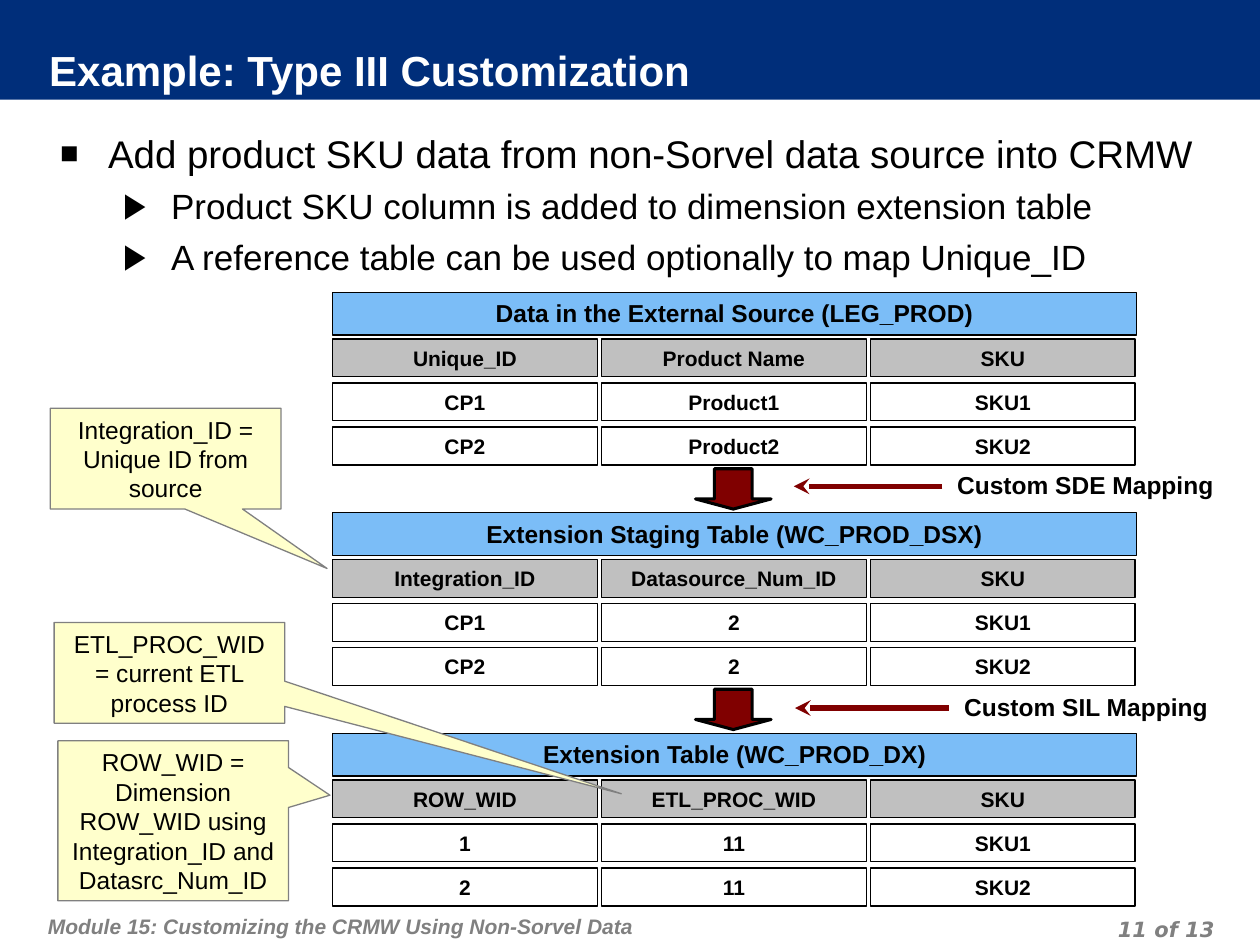
from dataclasses import dataclass

from lxml import etree
from pptx import Presentation
from pptx.dml.color import RGBColor
from pptx.enum.shapes import MSO_CONNECTOR, MSO_SHAPE
from pptx.enum.text import MSO_ANCHOR, MSO_AUTO_SIZE, PP_ALIGN
from pptx.oxml.ns import qn
from pptx.util import Inches, Pt

RECT, CALLOUT = MSO_SHAPE.RECTANGLE, MSO_SHAPE.RECTANGULAR_CALLOUT
DOWN_ARROW = MSO_SHAPE.DOWN_ARROW
LEFT, CENTER, RIGHT = PP_ALIGN.LEFT, PP_ALIGN.CENTER, PP_ALIGN.RIGHT
TOP, MIDDLE = MSO_ANCHOR.TOP, MSO_ANCHOR.MIDDLE

NAVY = RGBColor(0x00, 0x2E, 0x7A)
WHITE = RGBColor(0xFF, 0xFF, 0xFF)
BLACK = RGBColor(0, 0, 0)
GRAY = RGBColor(0x80, 0x80, 0x80)
SILVER = RGBColor(0xC0, 0xC0, 0xC0)
SKY = RGBColor(0x7B, 0xBD, 0xF7)
CREAM = RGBColor(0xFF, 0xFF, 0xCC)
MAROON = RGBColor(0x80, 0, 0)

TABLE_LEFT, TABLE_TOP, TABLE_PITCH = 2.64, 2.32, 1.75
COL_PITCH, ROW_PITCH, FIRST_ROW = 2.135, 0.35, 0.37


@dataclass
class DataTable:
    title: str
    rows: list[tuple[str, str, str]]


@dataclass
class Callout:
    text: str
    box: tuple[float, float, float, float]
    tip: tuple[float, float]


@dataclass
class Mapping:
    label: str
    label_box: tuple[float, float, float, float]
    block_top: float
    start: float
    end: float
    y: float


@dataclass
class Bullet:
    text: str
    size: float
    margin: float
    char: str
    char_pct: int
    before: float


TABLES = [
    DataTable("Data in the External Source (LEG_PROD)",
              [("Unique_ID", "Product Name", "SKU"),
               ("CP1", "Product1", "SKU1"), ("CP2", "Product2", "SKU2")]),
    DataTable("Extension Staging Table (WC_PROD_DSX)",
              [("Integration_ID", "Datasource_Num_ID", "SKU"),
               ("CP1", "2", "SKU1"), ("CP2", "2", "SKU2")]),
    DataTable("Extension Table (WC_PROD_DX)",
              [("ROW_WID", "ETL_PROC_WID", "SKU"),
               ("1", "11", "SKU1"), ("2", "11", "SKU2")]),
]
CALLOUTS = [
    Callout("Integration_ID = Unique ID from source", (0.4, 3.24, 1.83, 0.8), (0.7, 1.09)),
    Callout("ROW_WID = Dimension ROW_WID using Integration_ID and Datasrc_Num_ID",
            (0.46, 5.88, 1.83, 1.27), (0.68, -0.16)),
    Callout("ETL_PROC_WID = current ETL process ID", (0.43, 4.94, 1.83, 0.8), (1.96, 1.2)),
]
MAPPINGS = [
    Mapping("Custom SDE Mapping", (7.5, 3.68, 2.23, 0.34), 3.72, 7.48, 6.3, 3.86),
    Mapping("Custom SIL Mapping", (7.55, 5.44, 2.14, 0.34), 5.47, 7.53, 6.31, 5.62),
]
BULLETS = [
    Bullet("Add product SKU data from non-Sorvel data source into CRMW", 22, 0.38, "■", 80, 0),
    Bullet("Product SKU column is added to dimension extension table", 20, 0.88, "▶", 100, 5),
    Bullet("A reference table can be used optionally to map Unique_ID", 20, 0.88, "▶", 100, 5),
]


def set_frame(tf, insets=(0.1, 0.05, 0.1, 0.05), anchor=TOP, wrap=True) -> None:
    tf.auto_size = MSO_AUTO_SIZE.NONE
    tf.word_wrap = wrap
    tf.vertical_anchor = anchor
    tf.margin_left, tf.margin_top, tf.margin_right, tf.margin_bottom = map(Inches, insets)


def add_run(p, text: str, size: float, color=BLACK, bold=False, italic=False, font="Arial") -> None:
    r = p.add_run()
    r.text = text
    r.font.name, r.font.size = font, Pt(size)
    r.font.bold, r.font.italic = bold, italic
    r.font.color.rgb = color


def add_shape(s, kind, box, fill=None, line=None, width=0.75):
    sp = s.shapes.add_shape(kind, *map(Inches, box))
    sp.shadow.inherit = False
    if fill is None:
        sp.fill.background()
    else:
        sp.fill.solid()
        sp.fill.fore_color.rgb = fill
    if line is None:
        sp.line.fill.background()
    else:
        sp.line.color.rgb = line
        sp.line.width = Pt(width)
    return sp


def add_label(sp, text: str, size: float, bold=True, anchor=TOP, wrap=True) -> None:
    tf = sp.text_frame
    set_frame(tf, anchor=anchor, wrap=wrap)
    tf.paragraphs[0].alignment = CENTER
    add_run(tf.paragraphs[0], text, size, bold=bold)


def add_data_table(s, table: DataTable, top: float) -> None:
    """Draw a heading bar over a grid of separate cell boxes."""
    add_label(add_shape(s, RECT, (TABLE_LEFT, top, 6.38, 0.34), SKY, BLACK), table.title, 14)
    for i, row in enumerate(table.rows):
        for j, text in enumerate(row):
            box = (TABLE_LEFT + j * COL_PITCH, top + FIRST_ROW + i * ROW_PITCH, 2.1, 0.3)
            add_label(add_shape(s, RECT, box, None if i else SILVER, BLACK), text, 12)


def add_callout(s, callout: Callout) -> None:
    sp = add_shape(s, CALLOUT, callout.box, CREAM, GRAY)
    sp.adjustments[0], sp.adjustments[1] = callout.tip
    add_label(sp, callout.text, 14, bold=False, anchor=MIDDLE)


def add_mapping(s, m: Mapping) -> None:
    """Draw the block arrow between two tables, with its label and pointer."""
    block = add_shape(s, DOWN_ARROW, (5.52, m.block_top, 0.6, 0.32), MAROON, BLACK, 1.75)
    block.adjustments[0], block.adjustments[1] = 0.5, 0.25
    add_label(s.shapes.add_textbox(*map(Inches, m.label_box)), m.label, 14, wrap=False)
    line = s.shapes.add_connector(MSO_CONNECTOR.STRAIGHT, Inches(m.start), Inches(m.y),
                                  Inches(m.end), Inches(m.y))
    line.line.color.rgb = MAROON
    line.line.width = Pt(3)
    etree.SubElement(line.line._get_or_add_ln(), qn("a:tailEnd"), type="stealth")
    etree.SubElement(line._element.spPr, qn("a:effectLst"))


def add_bullet(p, b: Bullet) -> None:
    p.space_before = Pt(b.before)
    pPr = p._p.get_or_add_pPr()
    pPr.set("marL", str(Inches(b.margin)))
    pPr.set("indent", str(Inches(-0.38)))
    color = etree.SubElement(pPr, qn("a:buClr"))
    etree.SubElement(color, qn("a:srgbClr"), val=str(BLACK))
    etree.SubElement(pPr, qn("a:buSzPct"), val=str(b.char_pct * 1000))
    etree.SubElement(pPr, qn("a:buFont"), typeface="Arial")
    etree.SubElement(pPr, qn("a:buChar"), char=b.char)
    add_run(p, b.text, b.size)


def add_footer(s, text: str, box, insets, align, font: str) -> None:
    tf = s.shapes.add_textbox(*map(Inches, box)).text_frame
    set_frame(tf, insets)
    p = tf.paragraphs[0]
    p.alignment, p.line_spacing = align, Pt(18)
    add_run(p, text, 12, GRAY, bold=True, italic=True, font=font)


def add_title(s, text: str) -> None:
    title = s.shapes.title
    title.left, title.top, title.width, title.height = map(Inches, (0.39, 0.38, 7.87, 0.4))
    title.fill.solid()
    title.fill.fore_color.rgb = NAVY
    set_frame(title.text_frame, (0, 0, 0.05, 0.05), MIDDLE)
    p = title.text_frame.paragraphs[0]
    p.alignment = LEFT
    add_run(p, text, 24, WHITE, bold=True)


def main() -> None:
    prs = Presentation()
    prs.slide_width, prs.slide_height = Inches(10), Inches(7.5)
    s = prs.slides.add_slide(prs.slide_layouts[5])

    band = add_shape(s, RECT, (0, 0, 10, 0.79), NAVY)
    s.shapes._spTree.insert(2, band._element)  # behind the title
    add_title(s, "Example: Type III Customization")
    add_footer(s, "Module 15: Customizing the CRMW Using Non-Sorvel Data",
               (0.33, 7.1, 6.18, 0.4), (0.05, 0.1, 0.05, 0.05), LEFT, "Arial")
    add_footer(s, "11 of 13", (7.36, 7.22, 2.33, 0.25), (0.05, 0, 0.05, 0), RIGHT, "DejaVu Sans")

    tf = s.shapes.add_textbox(*map(Inches, (0.38, 0.93, 9.3, 1.35))).text_frame
    set_frame(tf, (0.1, 0.1, 0.1, 0.05))
    for i, bullet in enumerate(BULLETS):
        add_bullet(tf.add_paragraph() if i else tf.paragraphs[0], bullet)

    for mapping in MAPPINGS:
        add_mapping(s, mapping)
    for i, table in enumerate(TABLES):
        add_data_table(s, table, TABLE_TOP + i * TABLE_PITCH)
    for callout in CALLOUTS:
        add_callout(s, callout)
    prs.save("out.pptx")


if __name__ == "__main__":
    main()
